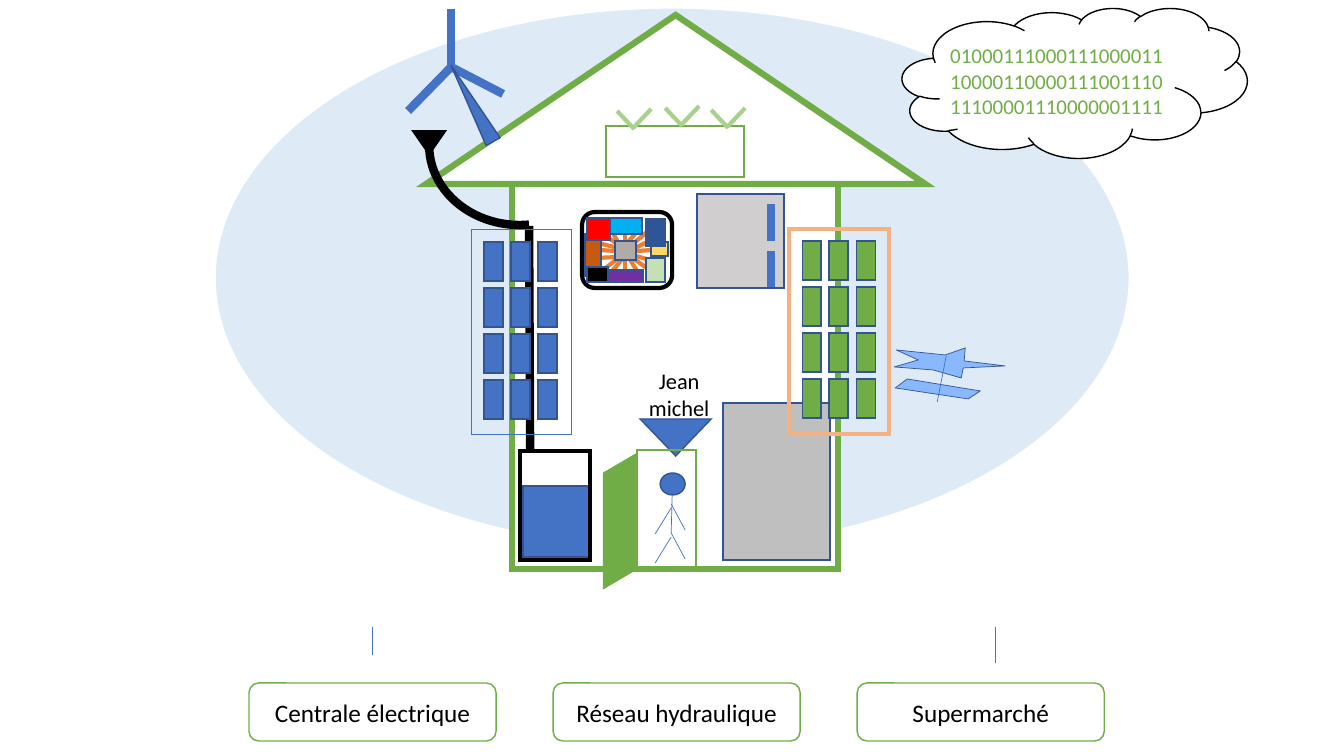
from dataclasses import dataclass
from itertools import product
from typing import Optional

from lxml.etree import SubElement
from pptx import Presentation
from pptx.dml.color import RGBColor
from pptx.enum.shapes import MSO_CONNECTOR, MSO_SHAPE as Shp
from pptx.enum.text import MSO_ANCHOR, PP_ALIGN
from pptx.oxml.ns import qn
from pptx.util import Inches, Pt

PX = 914400 / 100.8
C = dict(
    white="FFFFFF", black="000000", sky="DEEBF7", green="70AD47", leaf="A9D18E",
    blue="4472C4", edge="325491", orange="ED7D31", peach="F4B183", plane="8AB8FF",
    grey="BFBFBF", fridge="D0CECE", hub="AFABAB", rust="C55A11", mint="C5E0B4",
    purple="7030A0", yellow="FFD966", cyan="00B0F0", navy="2F5597", red="FF0000",
)


@dataclass
class Box:
    """A preset shape, in pixels; a fill or line of None is left empty."""
    x: int
    y: int
    w: int
    h: int
    fill: Optional[str] = None
    line: Optional[str] = "edge"
    pt: float = 1
    kind: Shp = Shp.RECTANGLE
    rot: float = 0


@dataclass
class Seg:
    """A straight line between two points, in pixels."""
    x1: int
    y1: int
    x2: int
    y2: int
    color: str = "blue"
    pt: float = 0.5


def emu(*px: float) -> list[int]:
    """Turn pixels into EMU."""
    return [round(v * PX) for v in px]


def paint(sp, fill: Optional[str], line: Optional[str], pt: float) -> None:
    """Set fill and outline with sharp corners, and drop the shadow."""
    sp.shadow.inherit = False
    for part, color in ((sp.fill, fill), (sp.line.fill, line)):
        if color:
            part.solid()
            part.fore_color.rgb = RGBColor.from_string(C[color])
        else:
            part.background()
    if line:
        sp.line.width = Pt(pt)
        SubElement(sp._element.spPr.find(qn("a:ln")), qn("a:miter"), lim="800000")


def add_box(s, b: Box):
    """Draw a preset shape."""
    sp = s.shapes.add_shape(b.kind, *emu(b.x, b.y, b.w, b.h))
    sp.rotation = b.rot
    paint(sp, b.fill, b.line, b.pt)
    return sp


def add_seg(s, g: Seg) -> None:
    """Draw a straight connector without shadow."""
    cn = s.shapes.add_connector(MSO_CONNECTOR.STRAIGHT, *emu(g.x1, g.y1, g.x2, g.y2))
    cn.line.color.rgb = RGBColor.from_string(C[g.color])
    cn.line.width = Pt(g.pt)
    SubElement(cn._element.spPr, qn("a:effectLst"))


def add_poly(s, points: list[tuple[int, int]], fill: str, line: str) -> None:
    """Draw a closed outline through the points."""
    fb = s.shapes.build_freeform(*points[0], scale=PX)
    fb.add_line_segments(points[1:], close=True)
    paint(fb.convert_to_shape(), fill, line, 0.5)


def write(sp, text: str, size: float = 18, color: str = "black",
          align=PP_ALIGN.CENTER, anchor=MSO_ANCHOR.TOP) -> None:
    """Put text into a shape, one paragraph a line."""
    tf = sp.text_frame
    tf.word_wrap, tf.vertical_anchor = True, anchor
    for i, line in enumerate(text.split("\n")):
        p = tf.add_paragraph() if i else tf.paragraphs[0]
        p.alignment = align
        r = p.add_run()
        r.text = line
        r.font.name, r.font.size = "Calibri", Pt(size)
        r.font.color.rgb = RGBColor.from_string(C[color])


def add_text(s, x: int, y: int, w: int, h: int, text: str, **fmt) -> None:
    """Add a text box."""
    write(s.shapes.add_textbox(*emu(x, y, w, h)), text, **fmt)


def draw(s, *items) -> None:
    """Draw boxes and lines from back to front."""
    for item in items:
        (add_seg if isinstance(item, Seg) else add_box)(s, item)


def add_panels(s, x: int, y: int, color: str) -> None:
    """Draw a wall of four rows of three panels."""
    draw(s, *(Box(x + 27 * col, y + 46 * row, 19, 39, color)
              for row, col in product(range(4), range(3))))


def add_house(s) -> None:
    """Draw the sky, walls, roof and the planter in the attic."""
    draw(s,
         Box(215, 8, 914, 540, "sky", "white", kind=Shp.OVAL),
         Box(512, 184, 326, 385, "white", "green", 4.5),
         Box(723, 403, 107, 157, "grey"),
         Box(426, 15, 499, 169, "white", "green", 4.5, Shp.ISOSCELES_TRIANGLE),
         Seg(529, 226, 530, 451, "black", 6),
         Seg(372, 627, 372, 655), Seg(995, 627, 995, 663),
         Box(606, 126, 138, 51, "white", "green"))
    for x, y in ((634, 129), (682, 126), (728, 128)):
        draw(s, Seg(x, y, x - 17, y - 18, "leaf", 3),
             Seg(x + 17, y - 20, x - 1, y - 1, "leaf", 3))


def add_tank(s) -> None:
    """Draw the water tank with its pipe and funnel."""
    draw(s, Box(523, 486, 66, 71, "blue"), Box(789, 229, 100, 205, None, "peach", 3),
         Box(520, 451, 70, 109, None, "black", 3))
    bend = add_box(s, Box(440, 55, 159, 181, None, "black", 6, Shp.ARC, 270))
    bend.adjustments[0], bend.adjustments[1] = 162, 4.02
    bend._element.spPr.xfrm.set("flipH", "1")
    draw(s, Box(411, 130, 36, 26, "black", None, kind=Shp.ISOSCELES_TRIANGLE, rot=180))


def add_cloud(s) -> None:
    """Draw the cloud with the binary digits inside its outline."""
    draw(s, Box(902, 8, 345, 150, "white", "black", kind=Shp.CLOUD))
    add_text(s, 940, 38, 240, 86,
             "01000111000111000011\n10000110000111001110\n11100001110000001111",
             size=15, color="green", align=PP_ALIGN.LEFT)


def add_plane(s) -> None:
    """Draw the tilted star and bar with the line across."""
    add_poly(s, [(907, 379), (980, 391), (968, 399), (895, 388)], "plane", "edge")
    add_poly(s, [(896, 350), (945, 355), (965, 348), (964, 361), (1005, 366),
                 (963, 368), (961, 378), (933, 370), (894, 367), (918, 360)], "plane", "edge")
    draw(s, Seg(937, 402, 946, 356))


def add_person(s) -> None:
    """Draw Jean michel in the open door."""
    draw(s, Box(640, 419, 71, 37, "blue", kind=Shp.ISOSCELES_TRIANGLE, rot=180))
    add_text(s, 622, 362, 114, 65, "Jean michel", size=16)
    draw(s, Box(660, 473, 25, 22, "blue", kind=Shp.OVAL), Seg(672, 496, 671, 533))
    for y in (504, 533):
        draw(s, Seg(671, y, 685, y + 26), Seg(671, y + 4, 655, y + 30))
    add_poly(s, [(603, 473), (637, 453), (637, 569), (603, 589)], "green", "green")
    draw(s, Box(637, 450, 59, 121, None, "green", 1.5))


def add_fridge_and_hub(s) -> None:
    """Draw the fridge and the framed hub with its rays."""
    draw(s, Box(697, 194, 87, 94, "fridge"),
         Seg(771, 204, 771, 241, pt=6), Seg(771, 251, 771, 287, pt=6),
         Box(582, 212, 90, 76, "white", "black", 3, Shp.ROUNDED_RECTANGLE))
    rays = [
        (625, 241, 625, 230), (625, 260, 625, 275), (653, 250, 636, 251),
        (615, 251, 599, 250), (648, 269, 631, 257), (616, 243, 598, 231),
        (635, 242, 653, 227), (598, 274, 617, 259), (631, 250, 655, 238),
        (629, 254, 653, 261), (594, 242, 618, 248), (627, 255, 640, 276),
        (607, 223, 619, 244), (622, 259, 609, 275), (641, 227, 627, 243),
        (619, 257, 595, 258),
    ]
    draw(s, *(Seg(*ray, "orange", 3) for ray in rays),
         Box(585, 234, 16, 42, "rust"), Box(646, 258, 19, 24, "mint"),
         Box(608, 270, 35, 12, "purple"), Box(587, 267, 21, 15, "black"),
         Box(651, 242, 17, 14, "yellow"), Box(599, 218, 43, 16, "cyan"),
         Box(646, 219, 19, 27, "navy"), Box(587, 218, 23, 22, "red"),
         Box(615, 241, 21, 19, "hub"))


def add_turbine(s) -> None:
    """Draw the wind turbine."""
    draw(s, *(Seg(451, 67, x, y, pt=6) for x, y in ((503, 94), (451, 9), (408, 111))),
         Box(464, 60, 16, 87, "blue", kind=Shp.ISOSCELES_TRIANGLE, rot=331.1))


prs = Presentation()
prs.slide_width, prs.slide_height = Inches(13.33), Inches(7.5)
s = prs.slides.add_slide(prs.slide_layouts[6])

add_house(s)
for i, name in enumerate(("Centrale électrique", "Réseau hydraulique", "Supermarché")):
    label = add_box(s, Box(249 + 304 * i, 683, 247, 58, "white", "green",
                           kind=Shp.ROUNDED_RECTANGLE))
    write(label, name, anchor=MSO_ANCHOR.MIDDLE)
add_panels(s, 802, 241, "green")
add_tank(s)
add_cloud(s)
add_plane(s)
add_person(s)
add_fridge_and_hub(s)
add_turbine(s)
add_panels(s, 484, 242, "blue")
draw(s, Box(471, 230, 100, 205, None, "blue", 0.75))
prs.save("out.pptx")
